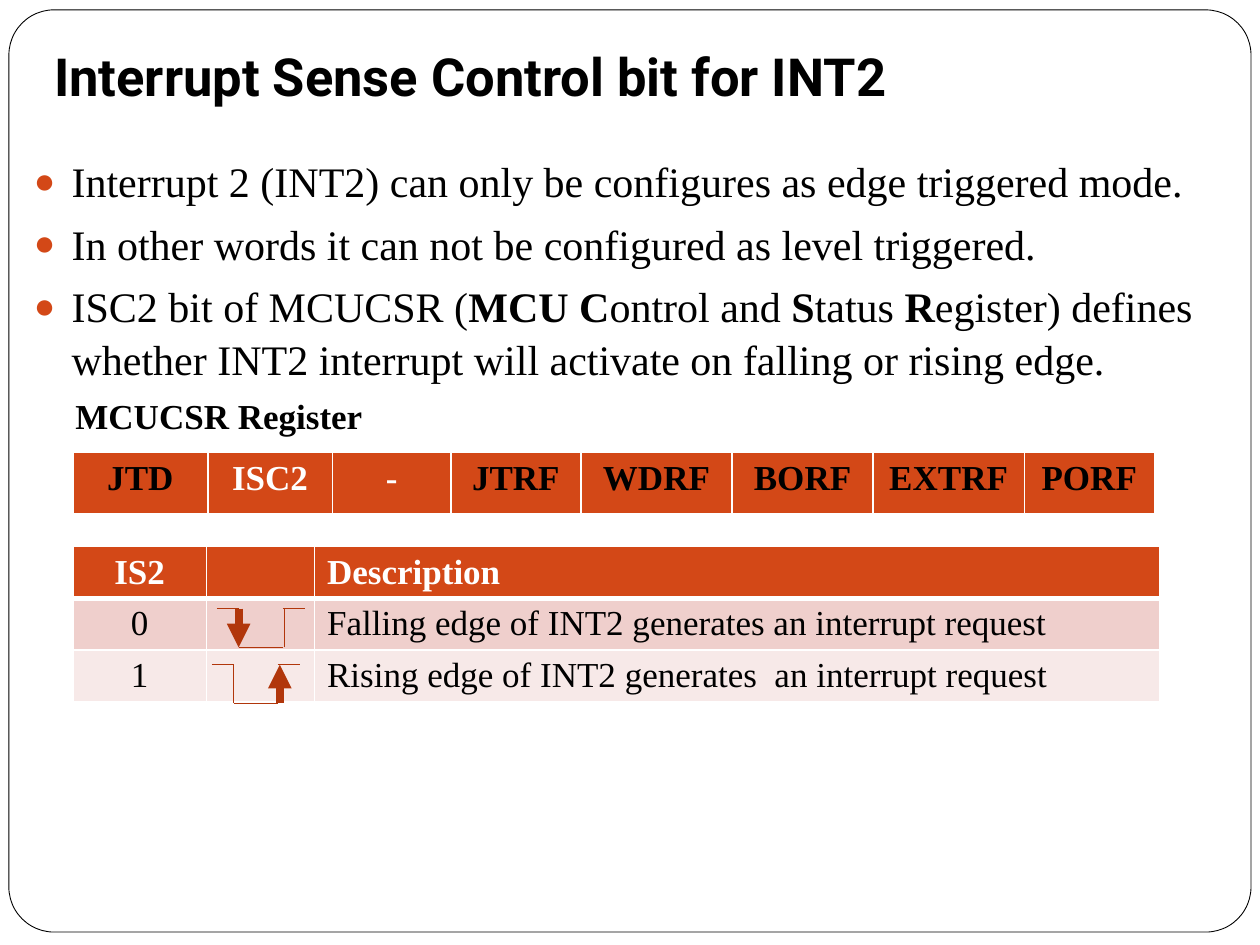
from lxml import etree
from pptx import Presentation
from pptx.dml.color import RGBColor
from pptx.enum.shapes import MSO_CONNECTOR, MSO_SHAPE
from pptx.enum.text import MSO_ANCHOR, PP_ALIGN
from pptx.oxml.ns import qn
from pptx.util import Cm, Pt

STRAIGHT = MSO_CONNECTOR.STRAIGHT
ROUNDED = MSO_SHAPE.ROUNDED_RECTANGLE
BOTTOM, TOP = MSO_ANCHOR.BOTTOM, MSO_ANCHOR.TOP
LEFT, CENTER = PP_ALIGN.LEFT, PP_ALIGN.CENTER
SERIF = "Times New Roman"
COLORS = {
    "white": "FFFFFF",
    "black": "000000",
    "accent": "D34817",
    "signal": "B1360B",
    "band_dark": "EFCFCC",
    "band_light": "F7E9E8",
}
BULLETS = [
    [("Interrupt 2 (INT2) can only be configures as edge triggered mode.", False)],
    [("In other words it can not be configured as level triggered.", False)],
    [
        ("ISC2 bit of MCUCSR (", False),
        ("MCU C", True),
        ("ontrol and ", False),
        ("S", True),
        ("tatus ", False),
        ("R", True),
        ("egister) defines whether INT2 interrupt will activate on falling or rising edge.", False),
    ],
]
REGISTER_BITS = ["JTD", "ISC2", "-", "JTRF", "WDRF", "BORF", "EXTRF", "PORF"]
HIGHLIGHTED_BITS = ("ISC2", "-")
SENSE_ROWS = [
    ["IS2", "", "Description"],
    ["0", "", "Falling edge of INT2 generates an interrupt request"],
    ["1", "", "Rising edge of INT2 generates  an interrupt request"],
]


def color(name):
    return RGBColor.from_string(COLORS[name])


def set_font(para, size, ink="black", bold=False, name=SERIF):
    font = para.font
    font.name, font.size, font.bold = name, Pt(size), bold
    font.color.rgb = color(ink)


def place(shape, left, top, width, height):
    shape.left, shape.top = Cm(left), Cm(top)
    shape.width, shape.height = Cm(width), Cm(height)


def add_frame(page):
    frame = page.shapes.add_shape(ROUNDED, Cm(0.18), Cm(0.2), Cm(25.04), Cm(18.59))
    frame.adjustments[0] = 0.049
    frame.shadow.inherit = False
    frame.fill.solid()
    frame.fill.fore_color.rgb = color("white")
    frame.line.color.rgb = color("black")
    frame.line.width = Pt(0.5)
    tree = page.shapes._spTree
    tree.remove(frame._element)
    tree.insert(2, frame._element)


def fill_title(page):
    title = page.shapes.title
    place(title, 0.84, 0.2, 21.59, 2.21)
    text = title.text_frame
    text.text = "Interrupt Sense Control bit for INT2"
    text.vertical_anchor = BOTTOM
    text.margin_bottom = Cm(0.25)
    para = text.paragraphs[0]
    para.alignment = LEFT
    set_font(para, 30, bold=True, name="Roboto")


def set_bullet(para):
    props = para._p.get_or_add_pPr()
    props.set("marL", str(Cm(0.76)))
    props.set("indent", str(-Cm(0.76)))
    tint = etree.SubElement(props, qn("a:buClr"))
    etree.SubElement(tint, qn("a:srgbClr"), val=COLORS["accent"])
    etree.SubElement(props, qn("a:buSzPct"), val="85000")
    etree.SubElement(props, qn("a:buChar"), char="●")


def fill_body(page):
    body = page.placeholders[1]
    place(body, 0.43, 2.97, 24.77, 5.08)
    text = body.text_frame
    text.vertical_anchor = TOP
    for index, parts in enumerate(BULLETS):
        para = text.add_paragraph() if index else text.paragraphs[0]
        para.space_before = Pt(5.8)
        para.line_spacing = 1.04
        set_bullet(para)
        set_font(para, 24)
        for words, bold in parts:
            span = para.add_run()
            span.text = words
            if bold:
                span.font.bold = True


def add_label(page):
    box = page.shapes.add_textbox(Cm(1.27), Cm(7.82), Cm(8.84), Cm(1.12))
    box.text_frame.word_wrap = True
    para = box.text_frame.paragraphs[0]
    para.text = "MCUCSR Register"
    set_font(para, 20, bold=True)


def set_borders(cell, bottom):
    props = cell._tc.get_or_add_tcPr()
    for side, width in (("L", 1), ("R", 1), ("T", 1), ("B", bottom)):
        line = etree.SubElement(props, qn(f"a:ln{side}"), w=str(Pt(width)))
        fill = etree.SubElement(line, qn("a:solidFill"))
        etree.SubElement(fill, qn("a:srgbClr"), val=COLORS["white"])


def style_cell(cell, words, fill, ink, bold, align, bottom):
    set_borders(cell, bottom)
    cell.fill.solid()
    cell.fill.fore_color.rgb = color(fill)
    para = cell.text_frame.paragraphs[0]
    para.text = words
    para.alignment = align
    set_font(para, 20, ink, bold)


def add_grid(page, left, top, widths, height, rows):
    holder = page.shapes.add_table(
        rows, len(widths), Cm(left), Cm(top), Cm(sum(widths)), Cm(height * rows)
    )
    grid = holder.table
    for column, width in zip(grid.columns, widths):
        column.width = Cm(width)
    for row in grid.rows:
        row.height = Cm(height)
    return grid


def add_register(page):
    widths = [2.72, 2.51, 2.39, 2.62, 3.05, 2.84, 3.05, 2.62]
    grid = add_grid(page, 1.47, 9.12, widths, 1.27, 1)
    for index, bit in enumerate(REGISTER_BITS):
        ink = "white" if bit in HIGHLIGHTED_BITS else "black"
        style_cell(grid.cell(0, index), bit, "accent", ink, True, CENTER, 3)


def add_sense_table(page):
    grid = add_grid(page, 1.47, 11.02, [2.69, 2.18, 17.04], 1.04, len(SENSE_ROWS))
    fills = ["accent", "band_dark", "band_light"]
    for row, (texts, fill) in enumerate(zip(SENSE_ROWS, fills)):
        header = row == 0
        ink = "white" if header else "black"
        for column, words in enumerate(texts):
            align = LEFT if column == 2 else CENTER
            style_cell(grid.cell(row, column), words, fill, ink, header, align, 3 if header else 1)


def add_line(group, start, end, arrow=False):
    line = group.shapes.add_connector(
        STRAIGHT, Cm(start[0]), Cm(start[1]), Cm(end[0]), Cm(end[1])
    )
    line.line.color.rgb = color("signal")
    line.line.width = Pt(4.5 if arrow else 0.75)
    if arrow:
        etree.SubElement(line.line._get_or_add_ln(), qn("a:tailEnd"), type="triangle")
    etree.SubElement(line._element.spPr, qn("a:effectLst"))


def add_pulse(page, left, high, rising):
    group = page.shapes.add_group_shape()
    low = high + 0.78
    fall, rise, right = left + 0.44, left + 1.37, left + 1.77
    add_line(group, (left, high), (fall, high))
    add_line(group, (rise - 0.04, high), (right, high))
    add_line(group, (fall, low), (rise - 0.04, low))
    add_line(group, (fall, high), (fall, low), arrow=not rising)
    add_line(group, (rise, low), (rise, high), arrow=rising)


def main():
    deck = Presentation()
    deck.slide_width, deck.slide_height = Cm(25.4), Cm(19.05)
    page = deck.slides.add_slide(deck.slide_layouts[1])
    add_frame(page)
    fill_title(page)
    fill_body(page)
    add_sense_table(page)
    add_pulse(page, 4.37, 12.27, rising=False)
    add_pulse(page, 4.27, 13.4, rising=True)
    add_register(page)
    add_label(page)
    deck.save("out.pptx")


main()
